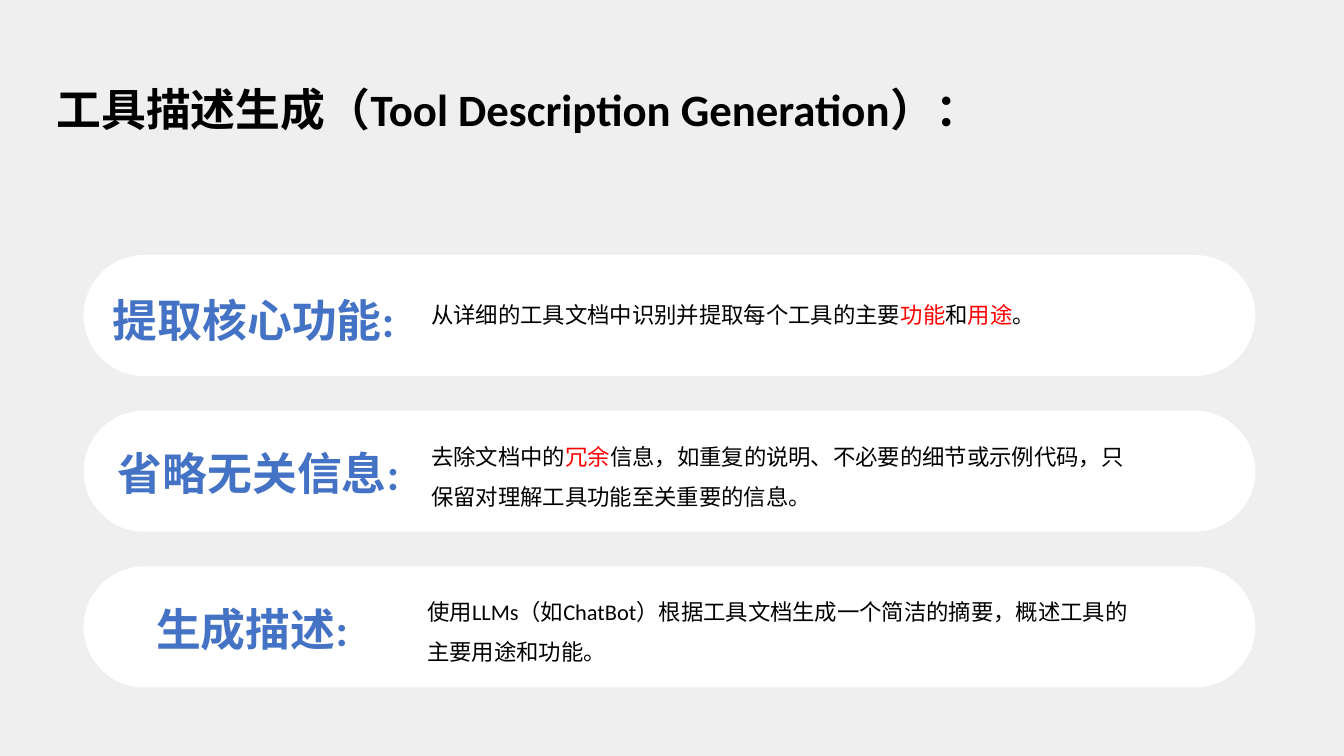
from pptx import Presentation
from pptx.dml.color import RGBColor
from pptx.enum.shapes import MSO_SHAPE as Shape
from pptx.enum.text import MSO_ANCHOR as Anchor, PP_ALIGN as Align
from pptx.util import Inches, Pt

FONT = "Calibri"
GRAY = RGBColor(0xEF, 0xEF, 0xEF)
WHITE = RGBColor(0xFF, 0xFF, 0xFF)
BLACK = RGBColor(0, 0, 0)
BLUE = RGBColor(0x44, 0x72, 0xC4)
RED = RGBColor(0xFF, 0, 0)

TITLE = "工具描述生成（Tool Description Generation）："
CARD_LEFT, CARD_TOP, CARD_WIDTH, CARD_HEIGHT = 0.83, 2.53, 11.62, 1.2
CARD_PITCH = 1.545

# heading, heading offset, body offset, body pieces with highlight flag
CARDS = [
    ("提取核心功能:", (0.19, 0.33), (3.35, 0.28), [
        ("从详细的工具文档中识别并提取每个工具的主要", False),
        ("功能", True), ("和", False), ("用途", True), ("。", False)]),
    ("省略无关信息:", (0.24, 0.3), (3.35, 0.14), [
        ("去除文档中的", False), ("冗余", True),
        ("信息，如重复的说明、不必要的细节或示例代码，"
         "只保留对理解工具功能至关重要的信息。", False)]),
    ("生成描述:", (0.62, 0.3), (3.31, 0.13), [
        ("使用LLMs（如ChatBot）根据工具文档生成一个简洁的摘要，"
         "概述工具的主要用途和功能。", False)]),
]


def style(run, size, color, bold=False):
    run.font.name = FONT
    run.font.size = Pt(size)
    run.font.bold = bold
    run.font.color.rgb = color


def add_title(slide, left, top, width, height):
    title = slide.shapes.title
    title.left, title.top = Inches(left), Inches(top)
    title.width, title.height = Inches(width), Inches(height)
    title.text_frame.text = TITLE
    title.text_frame.vertical_anchor = Anchor.TOP
    paragraph = title.text_frame.paragraphs[0]
    paragraph.alignment = Align.LEFT
    style(paragraph.runs[0], 32, BLACK, True)


def add_text(slide, left, top, width, height):
    box = slide.shapes.add_textbox(
        Inches(left), Inches(top), Inches(width), Inches(height))
    box.text_frame.word_wrap = True
    return box.text_frame.paragraphs[0]


def add_card(slide, left, top, width, height, card):
    heading, heading_offset, body_offset, pieces = card
    shape = slide.shapes.add_shape(
        Shape.ROUNDED_RECTANGLE,
        Inches(left), Inches(top), Inches(width), Inches(height))
    shape.adjustments[0] = 0.5
    shape.shadow.inherit = False
    shape.fill.solid()
    shape.fill.fore_color.rgb = WHITE
    shape.line.fill.background()

    x, y = heading_offset
    paragraph = add_text(slide, left + x, top + y, 3.2, 0.64)
    paragraph.text = heading
    style(paragraph.runs[0], 32, BLUE, True)

    x, y = body_offset
    paragraph = add_text(slide, left + x, top + y, 7.27, 0.87)
    paragraph.line_spacing = 1.5
    for text, highlighted in pieces:
        run = paragraph.add_run()
        run.text = text
        style(run, 16, RED if highlighted else BLACK)


def main():
    presentation = Presentation()
    presentation.slide_width = Inches(13.33)
    presentation.slide_height = Inches(7.5)
    slide = presentation.slides.add_slide(presentation.slide_layouts[5])
    slide.background.fill.solid()
    slide.background.fill.fore_color.rgb = GRAY
    add_title(slide, 0.46, 0.76, 9.25, 0.64)
    for index, card in enumerate(CARDS):
        top = CARD_TOP + index * CARD_PITCH
        add_card(slide, CARD_LEFT, top, CARD_WIDTH, CARD_HEIGHT, card)
    presentation.save("out.pptx")


if __name__ == "__main__":
    main()
